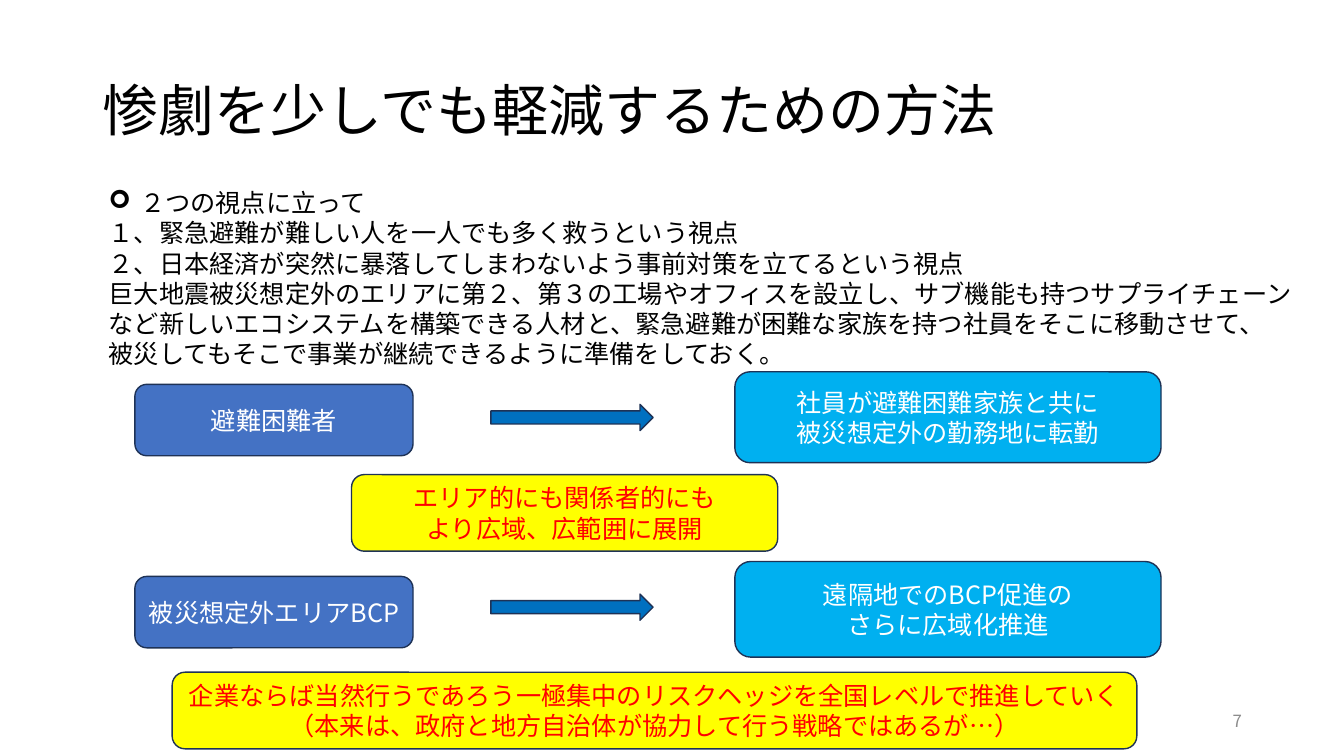
from dataclasses import dataclass

from lxml.etree import SubElement
from pptx import Presentation
from pptx.dml.color import RGBColor
from pptx.enum.shapes import MSO_SHAPE
from pptx.enum.text import MSO_ANCHOR, MSO_AUTO_SIZE, PP_ALIGN
from pptx.oxml.ns import qn
from pptx.util import Cm, Pt


@dataclass(frozen=True)
class Theme:
    font: str = "Noto Sans CJK JP"
    ink: str = "000000"
    gray: str = "8C8C8C"
    white: str = "FFFFFF"
    red: str = "FF0000"
    blue: str = "4472C4"
    sky: str = "00B0F0"
    arrow: str = "0070C0"
    yellow: str = "FFFF00"
    edge: str = "1E3256"
    head: int = 40
    base: int = 18
    small: int = 12


THEME = Theme()


def write(frame, lines, size, color, align=PP_ALIGN.LEFT, anchor=MSO_ANCHOR.MIDDLE):
    """Fill a text frame with one paragraph per line."""
    frame.word_wrap = True
    frame.vertical_anchor = anchor
    for i, line in enumerate(lines):
        para = frame.paragraphs[0] if i == 0 else frame.add_paragraph()
        para.alignment = align
        run = para.add_run()
        run.text = line
        run.font.size = Pt(size)
        run.font.color.rgb = RGBColor.from_string(color)
        run.font.name = THEME.font
        SubElement(run.font._element, qn("a:ea"), typeface=THEME.font)


def add_text(slide, x, y, w, h):
    return slide.shapes.add_textbox(Cm(x), Cm(y), Cm(w), Cm(h)).text_frame


def add_form(slide, kind, x, y, w, h, fill):
    form = slide.shapes.add_shape(kind, Cm(x), Cm(y), Cm(w), Cm(h))
    form.shadow.inherit = False
    form.fill.solid()
    form.fill.fore_color.rgb = RGBColor.from_string(fill)
    form.line.color.rgb = RGBColor.from_string(THEME.edge)
    form.line.width = Pt(1)
    return form


def add_card(slide, x, y, w, h, lines, fill, color):
    card = add_form(slide, MSO_SHAPE.ROUNDED_RECTANGLE, x, y, w, h, fill)
    write(card.text_frame, lines, THEME.base, color, PP_ALIGN.CENTER)


def add_title(slide, x, y, w, h, text):
    frame = add_text(slide, x, y, w, h)
    write(frame, [text], THEME.head, THEME.ink)
    frame.paragraphs[0].line_spacing = 0.9


def add_body(slide, x, y, w, h, lines):
    """Place the running text, its first line with an arrow bullet."""
    frame = add_text(slide, x, y, w, h)
    write(frame, lines, THEME.base, THEME.ink, anchor=MSO_ANCHOR.TOP)
    frame.auto_size = MSO_AUTO_SIZE.SHAPE_TO_FIT_TEXT
    props = frame.paragraphs[0]._p.get_or_add_pPr()
    props.set("marL", str(Cm(0.79)))
    props.set("indent", str(Cm(-0.79)))
    SubElement(props, qn("a:buFont"), typeface="Wingdings")
    SubElement(props, qn("a:buChar"), char="➢")


def add_step(slide, x, y, h, cause, answer):
    """Place a row: cause, arrow and answer, in a band of height h."""
    low = 1.8
    add_card(slide, x, y + (h - low) / 2 + 0.07, 7.01, low,
             cause, THEME.blue, THEME.white)
    add_form(slide, MSO_SHAPE.RIGHT_ARROW, x + 8.97, y + 0.82, 4.09, 0.66, THEME.arrow)
    add_card(slide, x + 15.12, y, 10.74, h, answer, THEME.sky, THEME.white)


def add_note(slide, x, y, w, lines):
    add_card(slide, x, y, w, 1.93, lines, THEME.yellow, THEME.red)


def add_number(slide, x, y, w, h, text):
    write(add_text(slide, x, y, w, h), [text], THEME.small, THEME.gray, PP_ALIGN.RIGHT)


def main():
    deck = Presentation()
    deck.slide_width, deck.slide_height = Cm(33.87), Cm(19.05)
    slide = deck.slides.add_slide(deck.slide_layouts[6])
    add_title(slide, 2.34, 1.02, 29.21, 3.68, "惨劇を少しでも軽減するための方法")
    add_body(slide, 2.49, 4.6, 30.91, 4.88, [
        "２つの視点に立って",
        "１、緊急避難が難しい人を一人でも多く救うという視点",
        "２、日本経済が突然に暴落してしまわないよう事前対策を立てるという視点",
        "巨大地震被災想定外のエリアに第２、第３の工場やオフィスを設立し、"
        "サブ機能も持つサプライチェーンなど新しいエコシステムを構築できる人材と、"
        "緊急避難が困難な家族を持つ社員をそこに移動させて、",
        "被災してもそこで事業が継続できるように準備をしておく。",
    ])
    add_number(slide, 23.93, 17.65, 7.62, 1.02, "7")
    add_step(slide, 3.4, 9.37, 2.29, ["避難困難者"],
             ["社員が避難困難家族と共に", "被災想定外の勤務地に転勤"])
    add_step(slide, 3.4, 14.15, 2.41, ["被災想定外エリアBCP"],
             ["遠隔地でのBCP促進の", "さらに広域化推進"])
    add_note(slide, 8.86, 11.96, 10.74,
             ["エリア的にも関係者的にも", "より広域、広範囲に展開"])
    add_note(slide, 4.34, 16.94, 24.31, [
        "企業ならば当然行うであろう一極集中のリスクヘッジを全国レベルで推進していく",
        "（本来は、政府と地方自治体が協力して行う戦略ではあるが…）",
    ])
    deck.save("out.pptx")


if __name__ == "__main__":
    main()
